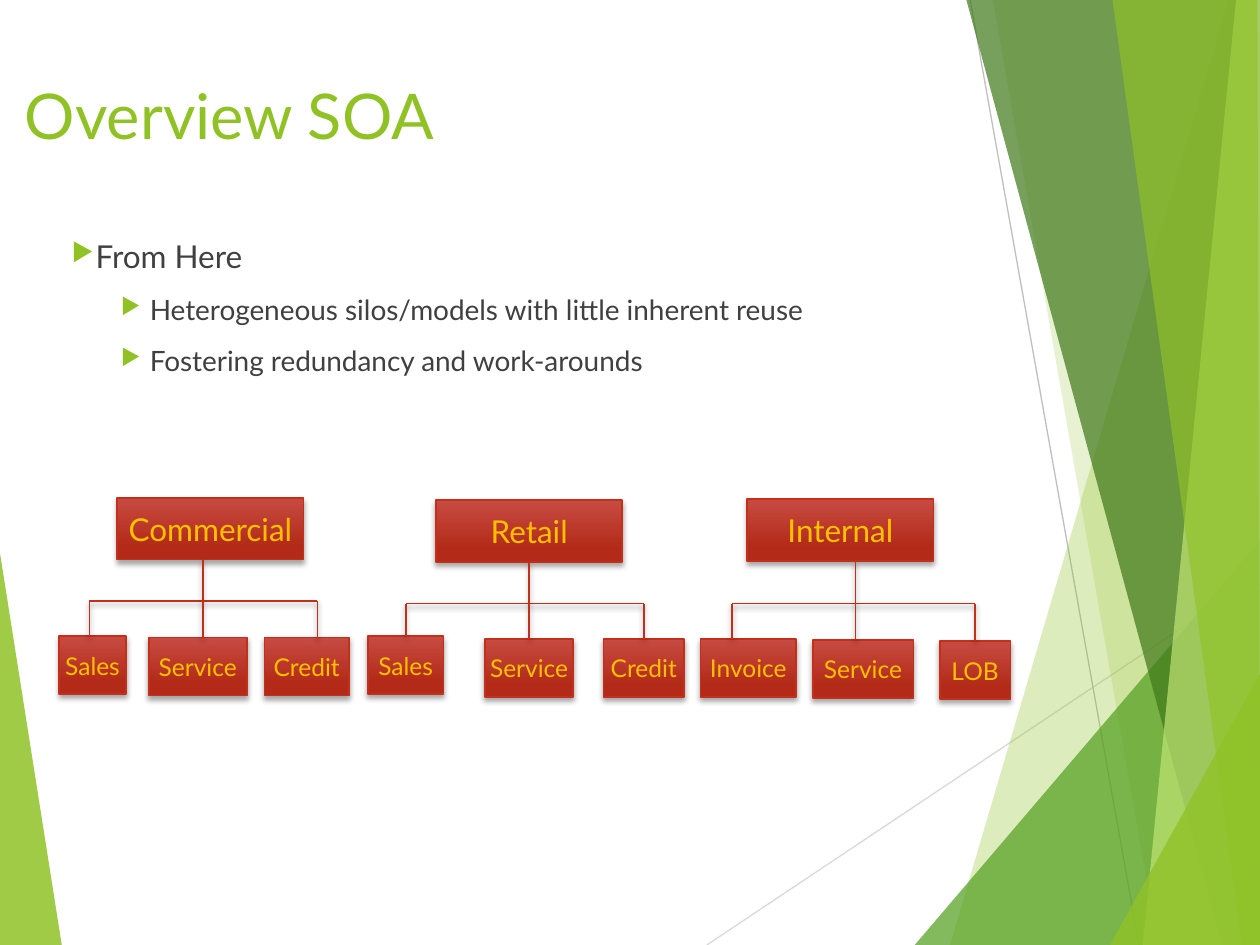
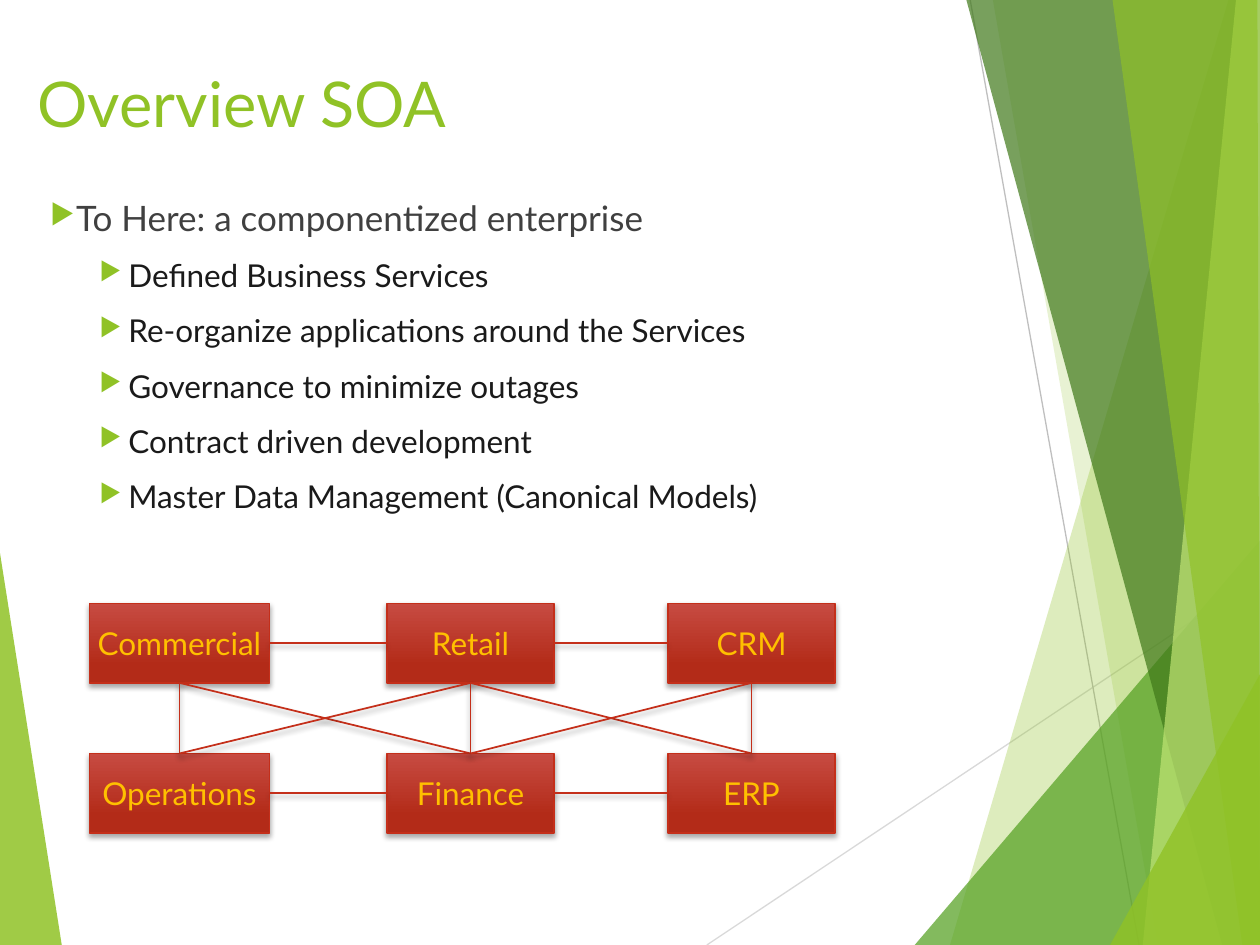
"""Build two SOA overview slides: separate silos, then a componentized enterprise."""
from lxml import etree
from pptx import Presentation
from pptx import util as u
from pptx.dml.color import RGBColor
from pptx.enum import shapes, text
from pptx.oxml import ns, parse_xml

FONT = "Lato"
LIME = RGBColor(0x90, 0xC2, 0x26)
GREEN = RGBColor(0x54, 0xA0, 0x21)
DARK = RGBColor(0x3F, 0x78, 0x19)
PALE = RGBColor(0xC0, 0xE4, 0x74)
MIST = RGBColor(0xD9, 0xD9, 0xD9)
GREY = RGBColor(0xBF, 0xBF, 0xBF)
INK = RGBColor(0x40, 0x40, 0x40)
BLACK = RGBColor(0x1A, 0x1A, 0x1A)
ROSE = RGBColor(0xC7, 0x4B, 0x42)
BRICK = RGBColor(0xB3, 0x2B, 0x18)
RED = RGBColor(0xC4, 0x2F, 0x1A)
GOLD = RGBColor(0xFF, 0xC0, 0x00)

FLAT = f"<a:effectLst {ns.nsdecls('a')}/>"
SHADE = (f"<a:effectLst {ns.nsdecls('a')}>"
         '<a:outerShdw blurRad="38100" dist="25400" dir="5400000" rotWithShape="0">'
         '<a:srgbClr val="000000"><a:alpha val="35000"/></a:srgbClr>'
         "</a:outerShdw></a:effectLst>")

BANDS = [
    (LIME, 85, [(0, 4.39), (0.49, 7.5), (0, 7.5)]),
    (LIME, 30, [(9.75, 0), (7.54, 7.5), (10, 7.5), (10, 0)]),
    (LIME, 20, [(7.88, 0), (9.19, 7.5), (10, 7.5), (10, 0)]),
    (GREEN, 72, [(7.26, 7.5), (10, 4.29), (10, 7.5)]),
    (DARK, 70, [(7.67, 0), (9.7, 7.5), (10, 7.5), (10, 0)]),
    (PALE, 70, [(9.81, 0), (9.07, 7.5), (10, 7.5), (10, 0)]),
    (LIME, 65, [(8.83, 0), (9.86, 7.5), (10, 7.5), (9.98, 0)]),
    (LIME, 80, [(8.81, 7.5), (10, 5.35), (10, 7.5)]),
]

PAGES = [
    ((0.1, 0.56, 9.9, 1.34), (0.47, 1.83, 7.85, 1.62), 18, 16, INK,
     ["From Here",
      "Heterogeneous silos/models with little inherent reuse",
      "Fostering redundancy and work-arounds"]),
    ((0.2, 0.46, 8.63, 1.44), (0.3, 1.51, 7.95, 1.92), 20, 18, BLACK,
     ["To Here: a componentized enterprise",
      "Defined Business Services",
      "Re-organize applications around the Services",
      "Governance to minimize outages",
      "Contract driven development",
      "Master Data Management (Canonical Models)"]),
]

SILOS = [
    ("Commercial", 0.93, 3.95, 4.77,
     [("Sales", 0.47, 5.05, 0.53, 0.71),
      ("Service", 1.18, 5.06, 0.78, 1.61),
      ("Credit", 2.1, 5.06, 0.67, 2.52)]),
    ("Retail", 3.46, 3.97, 4.79,
     [("Sales", 2.92, 5.05, 0.6, 3.22),
      ("Service", 3.85, 5.07, 0.7, 4.2),
      ("Credit", 4.79, 5.07, 0.64, 5.11)]),
    ("Internal", 5.93, 3.96, 4.79,
     [("Invoice", 5.56, 5.07, 0.76, 5.81),
      ("Service", 6.45, 5.08, 0.8, 6.79),
      ("LOB", 7.46, 5.09, 0.56, 7.74)]),
]

GRID = [(0.71, 1.43, "Commercial", "Operations"),
        (3.07, 1.33, "Retail", "Finance"),
        (5.3, 1.33, "CRM", "ERP")]


def box(slide, label, area, size):
    rect = slide.shapes.add_shape(shapes.MSO_SHAPE.RECTANGLE, *map(u.Inches, area))
    rect.fill.gradient()
    rect.fill.gradient_angle = 270
    for stop, (tint, pos) in zip(rect.fill.gradient_stops, [(ROSE, 0), (BRICK, 0.78)]):
        stop.color.rgb = tint
        stop.position = pos
    rect.line.color.rgb = RED
    rect.line.width = u.Pt(1)
    rect.element.spPr.append(parse_xml(SHADE))
    frame = rect.text_frame
    frame.word_wrap = False
    frame.vertical_anchor = text.MSO_ANCHOR.MIDDLE
    para = frame.paragraphs[0]
    para.alignment = text.PP_ALIGN.CENTER
    run = para.add_run()
    run.text = label
    run.font.name = FONT
    run.font.size = u.Pt(size)
    run.font.color.rgb = GOLD
    return rect


def wire(slide, start, end, tint=RED, width=1, effect=SHADE):
    line = slide.shapes.add_connector(
        shapes.MSO_CONNECTOR.STRAIGHT, *map(u.Inches, (*start, *end)))
    line.line.color.rgb = tint
    line.line.width = u.Pt(width)
    line.element.spPr.append(parse_xml(effect))
    return line


deck = Presentation()
deck.slide_width, deck.slide_height = u.Inches(10), u.Inches(7.5)

for head, body, big, small, tone, lines in PAGES:
    slide = deck.slides.add_slide(deck.slide_layouts[6])
    wire(slide, (5.61, 7.5), (10, 4.57), MIST, 0.75, FLAT)
    wire(slide, (7.7, 0), (9.04, 7.5), GREY, 0.75, FLAT)
    for tint, alpha, points in BANDS:
        first, *rest = [(u.Inches(x), u.Inches(y)) for x, y in points]
        pen = slide.shapes.build_freeform(*first)
        pen.add_line_segments(rest)
        band = pen.convert_to_shape()
        band.shadow.inherit = False
        band.line.fill.background()
        band.fill.solid()
        band.fill.fore_color.rgb = tint
        color = band.element.spPr.find(".//" + ns.qn("a:srgbClr"))
        etree.SubElement(color, ns.qn("a:alpha"), val=str(alpha * 1000))

    frame = slide.shapes.add_textbox(*map(u.Inches, head)).text_frame
    frame.word_wrap = True
    run = frame.paragraphs[0].add_run()
    run.text = "Overview SOA"
    run.font.name = FONT
    run.font.size = u.Pt(36)
    run.font.color.rgb = LIME

    frame = slide.shapes.add_textbox(*map(u.Inches, body)).text_frame
    frame.word_wrap = True
    for i, words in enumerate(lines):
        para = frame.add_paragraph() if i else frame.paragraphs[0]
        left, hang = (0.62, 0.23) if i else (0.19, 0.19)
        if i:
            para.level = 1
            para.space_before = u.Pt(10)
        props = para._p.get_or_add_pPr()
        props.set("marL", str(u.Inches(left)))
        props.set("indent", str(-u.Inches(hang)))
        color = etree.SubElement(props, ns.qn("a:buClr"))
        etree.SubElement(color, ns.qn("a:srgbClr"), val=str(LIME))
        etree.SubElement(props, ns.qn("a:buSzPct"), val="80000")
        etree.SubElement(props, ns.qn("a:buChar"), char="▶")
        run = para.add_run()
        run.text = words
        run.font.name = FONT
        run.font.size = u.Pt(small if i else big)
        run.font.color.rgb = tone if i else INK

before, after = deck.slides

for name, left, top, bar, leaves in SILOS:
    root = box(before, name, (left, top, 1.48, 0.49), 18)
    wire(before, (leaves[0][-1], bar), (leaves[-1][-1], bar))
    for i, (label, x, y, wide, mid) in enumerate(leaves):
        leaf = box(before, label, (x, y, wide, 0.46), 14)
        start = top + 0.49 if i == 1 else bar
        line = wire(before, (mid, start), (mid, y))
        if i == 1 and abs(left + 0.74 - mid) < 0.01:
            line.begin_connect(root, 2)
        if abs(x + wide / 2 - mid) < 0.01:
            line.end_connect(leaf, 0)

rows = [[box(after, col[2 + r], (col[0], y, col[1], 0.63), 18) for col in GRID]
        for r, y in enumerate((4.79, 5.98))]
upper, lower = rows
joins = [(row[i], 3, row[i + 1], 1) for row in rows for i in range(2)]
joins += [(upper[i], 2, lower[j], 0)
          for i in range(3) for j in range(3) if abs(i - j) < 2]
for one, out, two, into in joins:
    line = wire(after, (0, 0), (1, 1))
    line.begin_connect(one, out)
    line.end_connect(two, into)

deck.save("out.pptx")
